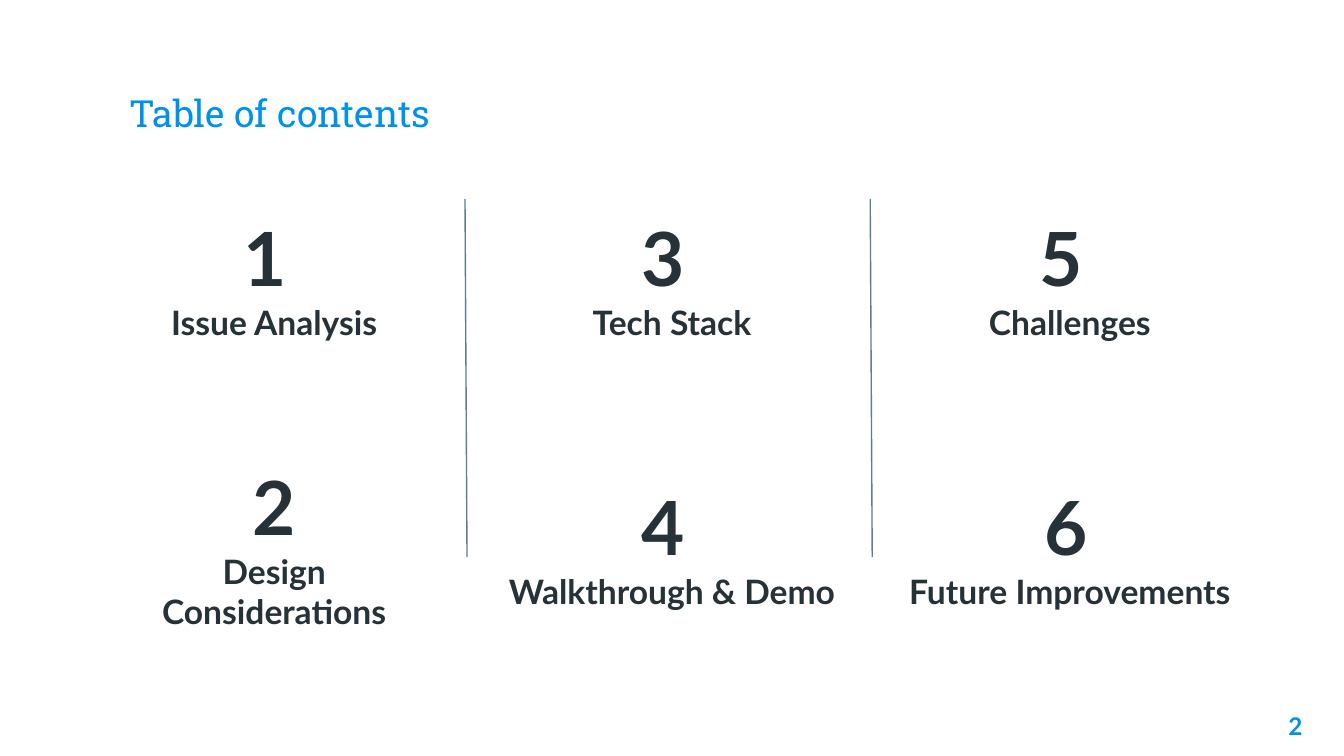
import dataclasses

import pptx
import pptx.dml.color
import pptx.enum.shapes
import pptx.enum.text
import pptx.oxml
import pptx.oxml.ns
import pptx.util

PX = 4572
ALIGN = pptx.enum.text.PP_ALIGN
ANCHOR = pptx.enum.text.MSO_ANCHOR
AUTO_SIZE = pptx.enum.text.MSO_AUTO_SIZE


@dataclasses.dataclass(frozen=True)
class Theme:
    """Colours, fonts and type sizes of the slide."""

    accent: str = "0091EA"
    ink: str = "263238"
    rule: str = "607D8B"
    heading_font: str = "Roboto Slab"
    body_font: str = "Lato"
    title_size: int = 20
    number_size: int = 40
    label_size: int = 18
    page_size: int = 13
    rule_width: float = 0.75


THEME = Theme()


def px(*lengths):
    """Turn px lengths into EMU."""
    return [pptx.util.Emu(length * PX) for length in lengths]


def color(value):
    """Turn a hex string into a colour."""
    return pptx.dml.color.RGBColor.from_string(value)


def add_run(paragraph, text, *, size, ink=THEME.ink, font=THEME.body_font, bold=True, align=ALIGN.CENTER):
    """Append formatted text to a paragraph."""
    paragraph.alignment = align
    run = paragraph.add_run()
    run.text = text
    run.font.size = pptx.util.Pt(size)
    run.font.name = font
    run.font.bold = bold
    run.font.color.rgb = color(ink)


def prepare_frame(shape, anchor=ANCHOR.TOP, auto_size=AUTO_SIZE.NONE):
    """Set insets, wrapping and anchoring, and return the text frame."""
    frame = shape.text_frame
    frame.margin_left, frame.margin_top, frame.margin_right, frame.margin_bottom = px(20, 20, 20, 20)
    frame.word_wrap = True
    frame.auto_size = auto_size
    frame.vertical_anchor = anchor
    return frame


def place_title(slide, box, text):
    """Move and format the title placeholder."""
    title = slide.shapes.title
    title.left, title.top, title.width, title.height = px(*box)
    frame = prepare_frame(title, anchor=ANCHOR.BOTTOM)
    add_run(frame.paragraphs[0], text, size=THEME.title_size, ink=THEME.accent,
            font=THEME.heading_font, bold=False, align=ALIGN.LEFT)


def place_page_number(slide, box, text):
    """Place the page number, aligned right."""
    frame = prepare_frame(slide.shapes.add_textbox(*px(*box)))
    add_run(frame.paragraphs[0], text, size=THEME.page_size, ink=THEME.accent, align=ALIGN.RIGHT)


def place_entry(slide, box, number, label, space_size):
    """Place a large number above its label; a sized space may follow the number."""
    frame = prepare_frame(slide.shapes.add_textbox(*px(*box)), auto_size=AUTO_SIZE.SHAPE_TO_FIT_TEXT)
    if space_size == THEME.number_size:
        number += " "
    add_run(frame.paragraphs[0], number, size=THEME.number_size)
    if space_size == THEME.label_size:
        add_run(frame.paragraphs[0], " ", size=space_size)
    add_run(frame.add_paragraph(), label, size=THEME.label_size)


def place_divider(slide, box):
    """Draw a thin, slightly slanted divider from corner to corner of the box."""
    left, top, width, height = box
    ends = px(left, top, left + width, top + height)
    line = slide.shapes.add_connector(pptx.enum.shapes.MSO_CONNECTOR.STRAIGHT, *ends)
    line.line.color.rgb = color(THEME.rule)
    line.line.width = pptx.util.Pt(THEME.rule_width)
    line._element.spPr.append(pptx.oxml.parse_xml(f'<a:effectLst {pptx.oxml.ns.nsdecls("a")}/>'))


def place_contents(slide, box):
    """Lay out the entries in three columns with dividers between them."""
    left, top, width, height = box
    column_width, entry_height, lower_row = 530, 236, 400
    pitch = (width - column_width) // 2
    big, small = THEME.number_size, THEME.label_size
    columns = [
        [("1", "Issue Analysis", big, 0, 0), ("2", "Design Considerations", 0, -30, 60)],
        [("3", "Tech Stack", big, 0, 0), ("4", "Walkthrough & Demo", big, 0, 0)],
        [("5", "Challenges", big, 0, 0), ("6", "Future Improvements", small, 0, 0)],
    ]
    for column, entries in enumerate(columns):
        for row, (number, label, space_size, shift, extra) in enumerate(entries):
            entry_box = (left + column * pitch, top + row * lower_row + shift,
                         column_width, entry_height + extra)
            place_entry(slide, entry_box, number, label, space_size)
    for index in range(2):
        place_divider(slide, (left + 549 + index * 603, top, 3, height))


def main():
    """Build and save the presentation."""
    presentation = pptx.Presentation()
    presentation.slide_width, presentation.slide_height = px(2000, 1125)
    slide = presentation.slides.add_slide(presentation.slide_layouts[5])
    place_page_number(slide, (1838, 1039, 120, 86), "2")
    place_title(slide, (172, 67, 1656, 154), "Table of contents")
    place_contents(slide, (143, 296, 1714, 533))
    presentation.save("out.pptx")


if __name__ == "__main__":
    main()
